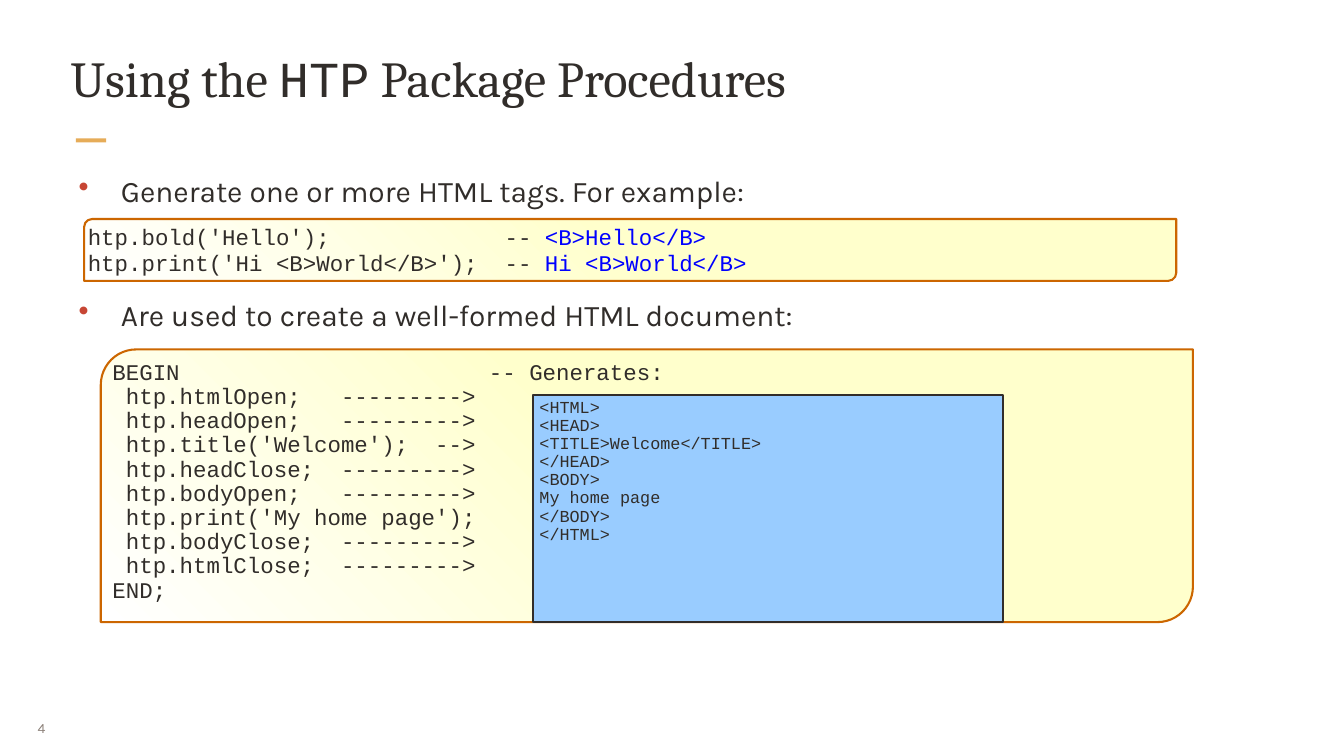
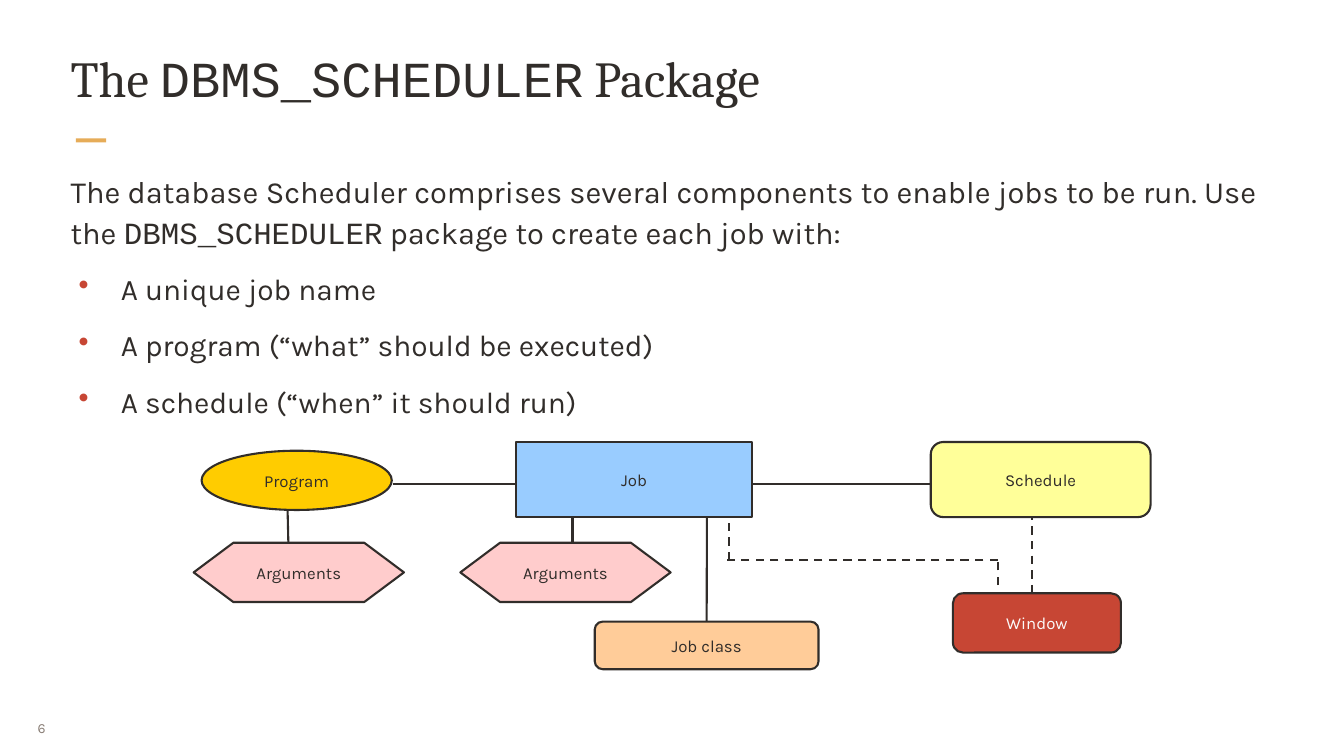
"""Build two slides on database packages: HTML procedures and the job scheduler."""
from dataclasses import dataclass
from typing import NamedTuple

from lxml import etree
from pptx import Presentation
from pptx import util as u
from pptx.dml.color import RGBColor
from pptx.enum import dml, shapes, text
from pptx.oxml import ns

Cm, Pt = u.Cm, u.Pt
Preset = shapes.MSO_SHAPE
COLORS = {
    "ink": "312D2A", "accent": "E6AC58", "number": "8B8078", "bullet": "C74634",
    "paper": "FFFFFF", "code": "FFFFCC", "code edge": "CC6600", "result": "0000FF",
    "blue": "99CCFF", "gold": "FFCC00", "pink": "FFCCCC", "peach": "FFCC99",
    "yellow": "FFFF99", "red": "C74634", "light": "FCFBFA",
}
SERIF, MONO, SANS = "Cambria", "Courier New", "Karla"
LINE_WIDTH = Pt(2.25)


class Box(NamedTuple):
    left: float
    top: float
    width: float
    height: float


class Run(NamedTuple):
    words: str
    face: str = SANS
    color: str = "ink"


@dataclass
class Para:
    runs: list[Run]
    size: float
    spacing: float = 1.0
    before: float = 0
    bullet: bool = False


@dataclass
class Node:
    label: str
    preset: Preset
    box: Box
    fill: str
    ink: str = "ink"


@dataclass
class Link:
    start: tuple[float, float]
    end: tuple[float, float]
    dashed: bool = False
    end_node: str = ""


TITLE_BOX = Box(2.59, 1.7, 45.62, 3.25)
NUMBER_BOX = Box(1.09, 26.77, 1.65, 1.47)
ACCENT_BOX = Box(2.87, 5.23, 1.14, 0.15)

TAG_CALLS = [
    [Run("htp.bold('Hello');             -- ", MONO), Run("<B>Hello</B>", MONO, "result")],
    [Run("htp.print('Hi <B>World</B>');  -- ", MONO), Run("Hi <B>World</B>", MONO, "result")],
]
PAGE_CALLS = """BEGIN                       -- Generates:
 htp.htmlOpen;   --------->
 htp.headOpen;   --------->
 htp.title('Welcome');  -->
 htp.headClose;  --------->
 htp.bodyOpen;   --------->
 htp.print('My home page');
 htp.bodyClose;  --------->
 htp.htmlClose;  --------->
END;"""
PAGE_HTML = """<HTML>
<HEAD>
<TITLE>Welcome</TITLE>
</HEAD>
<BODY>
My home page
</BODY>
</HTML>"""

NODES = [
    Node("Program", Preset.OVAL, Box(7.62, 17.04, 7.19, 2.24), "gold"),
    Node("Window", Preset.FLOWCHART_ALTERNATE_PROCESS, Box(36.02, 22.43, 6.35, 2.24), "red", "light"),
    Node("Arguments", Preset.HEXAGON, Box(7.32, 20.52, 7.95, 2.24), "pink"),
    Node("Arguments", Preset.HEXAGON, Box(17.4, 20.52, 7.95, 2.24), "pink"),
    Node("Job class", Preset.FLOWCHART_ALTERNATE_PROCESS, Box(22.48, 23.5, 8.46, 1.8), "peach"),
    Node("Schedule", Preset.FLOWCHART_ALTERNATE_PROCESS, Box(35.18, 16.71, 8.31, 2.84), "yellow"),
    Node("Job", Preset.RECTANGLE, Box(19.51, 16.71, 8.92, 2.84), "blue"),
]
LINKS = [
    Link((10.87, 19.25), (10.9, 20.55)),
    Link((26.72, 19.58), (26.72, 23.5), end_node="Job class"),
    Link((38.99, 19.35), (38.99, 22.43), dashed=True),
    Link((14.86, 18.31), (19.51, 18.31)),
    Link((27.99, 18.31), (35.18, 18.31)),
    Link((37.72, 22.12), (37.72, 21.18), dashed=True),
    Link((37.72, 21.18), (27.48, 21.18), dashed=True),
    Link((27.56, 21.18), (27.56, 19.25), dashed=True),
    Link((21.64, 19.58), (21.64, 21.16)),
]


def rgb(name: str) -> RGBColor:
    return RGBColor.from_string(COLORS[name])


def set_font(font, run: Run, size: float) -> None:
    font.name, font.size = run.face, Pt(size)
    font.color.rgb = rgb(run.color)


def add_bullet(paragraph) -> None:
    properties = paragraph._p.get_or_add_pPr()
    properties.set("marL", str(Cm(1.9)))
    properties.set("indent", str(-Cm(1.6)))
    tint = etree.SubElement(properties, ns.qn("a:buClr"))
    etree.SubElement(tint, ns.qn("a:srgbClr"), val=COLORS["bullet"])
    etree.SubElement(properties, ns.qn("a:buChar"), char="•")


def write(shape, paras: list[Para], inset: tuple[float, float],
          anchor=text.MSO_ANCHOR.TOP, align=text.PP_ALIGN.LEFT) -> None:
    frame = shape.text_frame
    frame.word_wrap = True
    frame.vertical_anchor = anchor
    frame.margin_left = frame.margin_right = Cm(inset[0])
    frame.margin_top = frame.margin_bottom = Cm(inset[1])
    for index, para in enumerate(paras):
        paragraph = frame.add_paragraph() if index else frame.paragraphs[0]
        if para.bullet:
            add_bullet(paragraph)
        paragraph.alignment = align
        paragraph.line_spacing = para.spacing
        if index:
            paragraph.space_before = Pt(para.before)
        for run in para.runs:
            piece = paragraph.add_run()
            piece.text = run.words
            if len(para.runs) > 1:
                set_font(piece.font, run, para.size)
        if len(para.runs) == 1:
            set_font(paragraph.font, para.runs[0], para.size)


def add_text(slide, box: Box, paras: list[Para], inset=(0.08, 0.08), **layout) -> None:
    write(slide.shapes.add_textbox(*map(Cm, box)), paras, inset, **layout)


def add_block(slide, preset: Preset, box: Box, fill: str, edge: str = ""):
    block = slide.shapes.add_shape(preset, *map(Cm, box))
    block.shadow.inherit = False
    block.fill.solid()
    block.fill.fore_color.rgb = rgb(fill)
    if edge:
        block.line.color.rgb = rgb(edge)
        block.line.width = LINE_WIDTH
    else:
        block.line.fill.background()
    return block


def code_lines(code: str, size: float) -> list[Para]:
    return [Para([Run(line, MONO)], size, 0.9) for line in code.splitlines()]


def add_code(slide, box: Box, paras: list[Para]) -> None:
    panel = add_block(slide, Preset.ROUND_2_DIAG_RECTANGLE, box, "code", "code edge")
    panel.adjustments[0], panel.adjustments[1] = 0.13, 0
    panel.fill.gradient()
    panel.fill.gradient_angle = 225
    for stop, (position, color) in zip(panel.fill.gradient_stops, [(0.5, "code"), (1, "paper")]):
        stop.position = position
        stop.color.rgb = rgb(color)
    write(panel, paras, (0.05, 0.05))


def add_link(slide, link: Link):
    connector = slide.shapes.add_connector(
        shapes.MSO_CONNECTOR.STRAIGHT, *map(Cm, link.start + link.end))
    connector.line.color.rgb = rgb("ink")
    connector.line.width = LINE_WIDTH
    if link.dashed:
        connector.line.dash_style = dml.MSO_LINE.DASH
    etree.SubElement(connector._element.spPr, ns.qn("a:effectLst"))
    return connector


def add_node(slide, node: Node):
    block = add_block(slide, node.preset, node.box, node.fill, "ink")
    if node.preset == Preset.HEXAGON:
        block.adjustments[0] = 0.67
    write(block, [Para([Run(node.label, SANS, node.ink)], 18)], (0.25, 0.13),
          anchor=text.MSO_ANCHOR.MIDDLE, align=text.PP_ALIGN.CENTER)
    return block


def add_slide(deck, number: int, title: list[Run]):
    slide = deck.slides.add_slide(deck.slide_layouts[6])
    add_block(slide, Preset.RECTANGLE, ACCENT_BOX, "accent")
    add_text(slide, NUMBER_BOX, [Para([Run(str(number), SANS, "number")], 15)],
             (0.33, 0.18), anchor=text.MSO_ANCHOR.MIDDLE)
    add_text(slide, TITLE_BOX, [Para(title, 54)])
    return slide


def bullet(words: str, before: float = 18) -> Para:
    return Para([Run(words)], 32, 1.1, before, True)


def build_procedures(deck) -> None:
    slide = add_slide(deck, 4, [Run("Using the ", SERIF), Run("HTP", MONO),
                                Run(" Package Procedures", SERIF)])
    add_code(slide, Box(3.81, 13.21, 41.28, 10.31), code_lines(PAGE_CALLS, 24))
    add_text(slide, Box(2.59, 6.32, 45.62, 8.28), [
        bullet("Generate one or more HTML tags. For example:"),
        bullet("Are used to create a well-formed HTML document:", 90),
    ])
    html = add_block(slide, Preset.RECTANGLE, Box(20.14, 14.94, 17.78, 8.59), "blue", "ink")
    write(html, code_lines(PAGE_HTML, 18), (0.25, 0.13))
    add_code(slide, Box(3.18, 8.28, 41.28, 2.34), [Para(runs, 24) for runs in TAG_CALLS])


def build_scheduler(deck) -> None:
    slide = add_slide(deck, 6, [Run("The ", SERIF), Run("DBMS_SCHEDULER", MONO),
                                Run(" Package", SERIF)])
    add_text(slide, Box(2.59, 6.32, 45.62, 11.61), [
        Para([Run("The database Scheduler comprises several components to enable jobs "
                  "to be run. Use the "),
              Run("DBMS_SCHEDULER", MONO),
              Run(" package to create each job with:")], 33, 1.1),
        bullet("A unique job name"),
        bullet("A program (“what” should be executed)"),
        bullet("A schedule (“when” it should run)"),
    ])
    connectors = [add_link(slide, link) for link in LINKS]
    blocks = {node.label: add_node(slide, node) for node in NODES}
    for link, connector in zip(LINKS, connectors):
        if link.end_node:
            connector.end_connect(blocks[link.end_node], 0)


def main() -> None:
    deck = Presentation()
    deck.slide_width, deck.slide_height = Cm(50.8), Cm(28.58)
    build_procedures(deck)
    build_scheduler(deck)
    deck.save("out.pptx")


if __name__ == "__main__":
    main()
